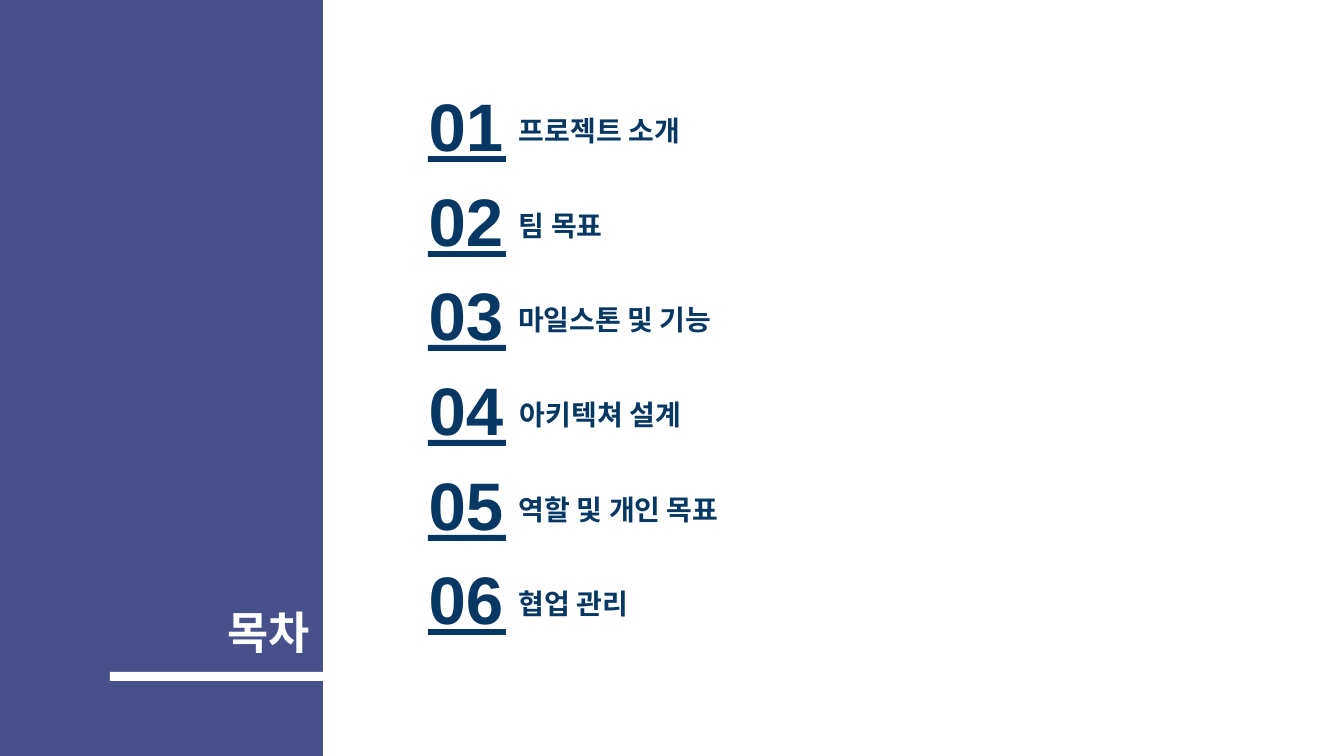
from pptx import Presentation
from pptx.dml.color import RGBColor
from pptx.enum.shapes import MSO_SHAPE
from pptx.enum.text import MSO_ANCHOR, PP_ALIGN
from pptx.util import Pt

RECT = MSO_SHAPE.RECTANGLE
LEFT, MID, RIGHT = PP_ALIGN.LEFT, PP_ALIGN.CENTER, PP_ALIGN.RIGHT
CENTER, BOTTOM = MSO_ANCHOR.MIDDLE, MSO_ANCHOR.BOTTOM

SCALE = 914400 / 100.8
PANEL, NAVY, WHITE = "46518C", "073763", "FFFFFF"
ARIAL, NOTO = "Arial", "Noto Sans CJK KR"

# Label, font, left, width
ITEMS = [
    ("프로젝트 소개", ARIAL, 506, 213),
    ("팀\u00a0목표", NOTO, 506, 213),
    ("마일스톤 및 기능", NOTO, 505, 330),
    ("아키텍쳐\u00a0설계", NOTO, 507, 262),
    ("역할 및 개인 목표", ARIAL, 506, 274),
    ("협업 관리", ARIAL, 506, 274),
]
TOP, PITCH = 87, 94.7


def px(n):
    return round(n * SCALE)


def color(code):
    return RGBColor.from_string(code)


def add_bar(slide, x, y, w, h, fill):
    bar = slide.shapes.add_shape(RECT, px(x), px(y), px(w), px(h))
    bar.shadow.inherit = False
    bar.fill.solid()
    bar.fill.fore_color.rgb = color(fill)
    bar.line.fill.background()


def add_text(slide, text, x, y, w, h, size, ink,
             face=ARIAL, align=LEFT, anchor=CENTER):
    box = slide.shapes.add_textbox(px(x), px(y), px(w), px(h))
    frame = box.text_frame
    frame.word_wrap = True
    frame.vertical_anchor = anchor
    frame.margin_left = frame.margin_right = px(13)
    frame.margin_top = frame.margin_bottom = px(13)
    para = frame.paragraphs[0]
    para.text = text
    para.alignment = align
    font = para.font
    font.name, font.size, font.bold = face, Pt(size), True
    font.color.rgb = color(ink)


def add_item(slide, index, label, face, x, w):
    top = round(TOP + PITCH * index)
    add_text(slide, label, x, top + 8, w, 70, 20, NAVY, face)
    add_text(slide, f"{index + 1:02}", 405, top, 122, 76, 48, NAVY, align=MID)
    add_bar(slide, 428, top + 69, 78, 6, NAVY)


def main():
    deck = Presentation()
    deck.slide_width, deck.slide_height = px(1344), px(756)
    slide = deck.slides.add_slide(deck.slide_layouts[6])

    # Side panel with heading
    add_bar(slide, 0, 0, 323, 756, PANEL)
    add_text(slide, "목차", 91, 512, 232, 159, 32, WHITE,
             align=RIGHT, anchor=BOTTOM)
    add_bar(slide, 110, 672, 295, 9, WHITE)

    # Contents list
    for index, item in enumerate(ITEMS):
        add_item(slide, index, *item)

    deck.save("out.pptx")


main()
